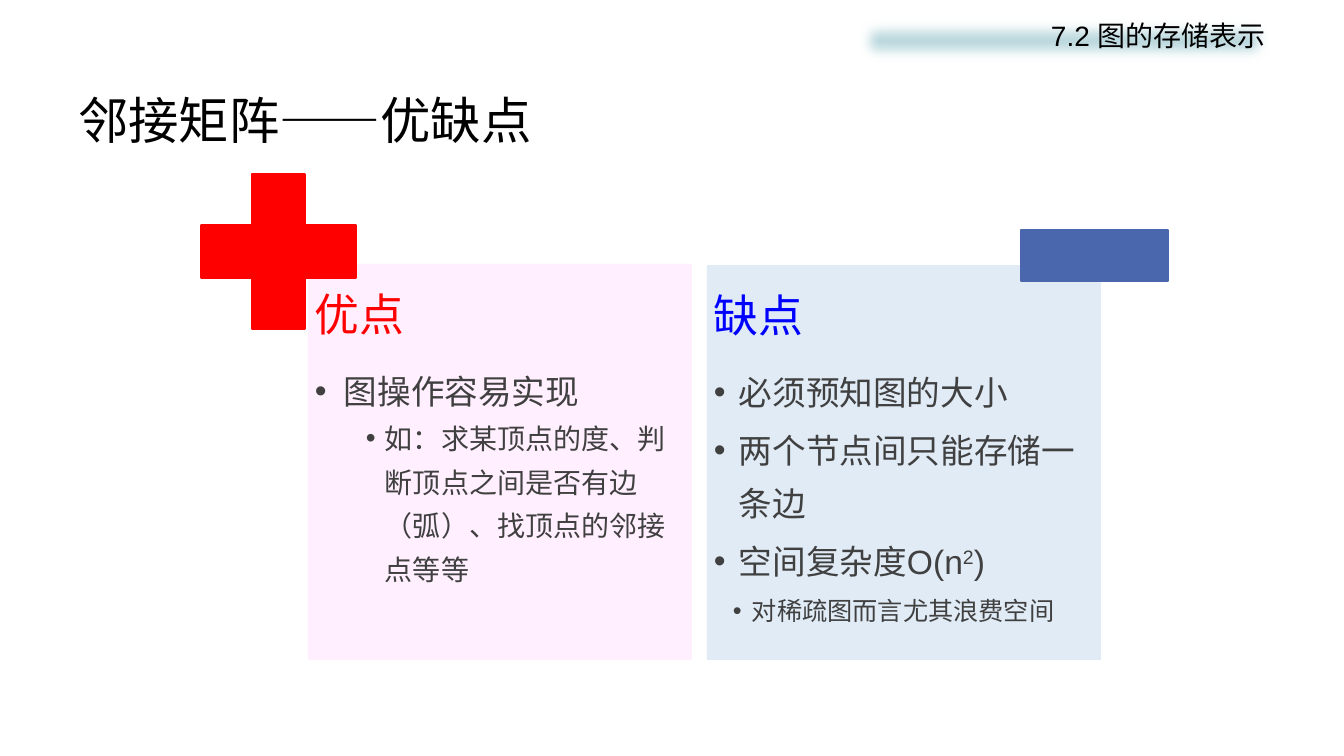
from pptx import Presentation
from pptx.dml.color import RGBColor
from pptx.enum.shapes import MSO_SHAPE as Shape
from pptx.enum.text import MSO_ANCHOR as Anchor, MSO_AUTO_SIZE as AutoSize, PP_ALIGN as Align
from pptx.oxml.ns import qn
from pptx.util import Pt
from lxml.etree import SubElement

PX = 914400 / 100.8  # EMU in one px

BLACK = RGBColor(0x00, 0x00, 0x00)
GRAY = RGBColor(0x40, 0x40, 0x40)
RED = RGBColor(0xFF, 0x00, 0x00)
BLUE = RGBColor(0x00, 0x00, 0xFF)
STEEL = RGBColor(0x4A, 0x66, 0xAC)
PINK = RGBColor(0xFF, 0xEF, 0xFF)
PALE_BLUE = RGBColor(0xE0, 0xEB, 0xF6)
TEAL = RGBColor(0xBD, 0xDA, 0xDF)

BODY_FONT = "Arial"
TITLE_FONT = "Noto Sans CJK SC"


def px(length):
    return round(length * PX)


def place(shape, left, top, width, height):
    shape.left, shape.top = px(left), px(top)
    shape.width, shape.height = px(width), px(height)


def set_font(font, size, color, name=BODY_FONT):
    font.name, font.size, font.color.rgb = name, Pt(size), color
    font.bold = False


def set_bullet(paragraph, margin, hanging):
    """Bullet when hanging is above zero, plain text otherwise."""
    props = paragraph._p.get_or_add_pPr()
    props.set("marL", str(px(margin)))
    props.set("indent", str(-px(hanging)))
    if hanging:
        SubElement(props, qn("a:buFont"), typeface=BODY_FONT)
        SubElement(props, qn("a:buChar"), char="•")
    else:
        SubElement(props, qn("a:buNone"))


def add_line(frame, text, size, color, level=0, margin=0, hanging=0, after=4):
    """Append one line of a panel; text after ^ is one raised character."""
    first = not frame.text
    paragraph = frame.paragraphs[0] if first else frame.add_paragraph()
    paragraph.level = level
    paragraph.alignment = Align.LEFT
    paragraph.line_spacing = 1.3
    paragraph.space_before, paragraph.space_after = Pt(0), Pt(after)
    set_bullet(paragraph, margin, hanging)
    base, _, raised = text.partition("^")
    for part in filter(None, (base, raised[:1], raised[1:])):
        run = paragraph.add_run()
        run.text = part
        set_font(run.font, size, color)
        if part == raised[:1]:
            run.font._rPr.set("baseline", "30000")


def fill_panel(panel, box, fill, heading, heading_color, lines):
    place(panel, *box)
    panel.fill.solid()
    panel.fill.fore_color.rgb = fill
    frame = panel.text_frame
    frame.auto_size, frame.word_wrap = AutoSize.NONE, True
    frame.vertical_anchor = Anchor.TOP
    frame.margin_left = frame.margin_right = px(7)
    frame.margin_top = frame.margin_bottom = px(7)
    add_line(frame, heading, 32, heading_color, after=13)
    for line in lines:
        add_line(frame, color=GRAY, **line)


def add_block(slide, kind, box, color, outlined=True):
    block = slide.shapes.add_shape(kind, *map(px, box))
    block.shadow.inherit = False
    block.fill.solid()
    block.fill.fore_color.rgb = color
    if outlined:
        block.line.color.rgb = color
        block.line.width = Pt(2)
    else:
        block.line.fill.background()
    return block


def add_section_label(slide, text):
    label = add_block(slide, Shape.RECTANGLE, (853, 14, 423, 54), TEAL, outlined=False)
    effects = label._element.spPr.find(qn("a:effectLst"))
    SubElement(effects, qn("a:softEdge"), rad="127000")
    frame = label.text_frame
    frame.word_wrap = True
    frame.vertical_anchor = Anchor.TOP
    frame.text = text
    paragraph = frame.paragraphs[0]
    paragraph.alignment = Align.RIGHT
    set_font(paragraph.runs[0].font, 20, BLACK)


def set_title(title, text):
    place(title, 68, 81, 1210, 76)
    frame = title.text_frame
    frame.auto_size = AutoSize.NONE
    frame.vertical_anchor = Anchor.MIDDLE
    frame.text = text
    frame.paragraphs[0].alignment = Align.LEFT
    set_font(frame.paragraphs[0].runs[0].font, 36, BLACK, TITLE_FONT)


def main():
    deck = Presentation()
    deck.slide_width, deck.slide_height = px(1344), px(756)
    slide = deck.slides.add_slide(deck.slide_layouts[3])
    title, pros, cons = list(slide.placeholders)[:3]

    set_title(title, "邻接矩阵——优缺点")

    # Advantages and drawbacks
    fill_panel(pros, (308, 264, 384, 396), PINK, "优点", RED, [
        dict(text="图操作容易实现", size=24, level=1, margin=29, hanging=29, after=0),
        dict(text="如：求某顶点的度、判断顶点之间是否有边（弧）、找顶点的邻接点等等",
             size=20, level=2, margin=70, hanging=19),
    ])
    point = dict(size=24, level=1, margin=25, hanging=25)
    fill_panel(cons, (707, 265, 394, 395), PALE_BLUE, "缺点", BLUE, [
        dict(text="必须预知图的大小", **point),
        dict(text="两个节点间只能存储一条边", **point),
        dict(text="空间复杂度O(n^2)", **point),
        dict(text="对稀疏图而言尤其浪费空间", size=18, level=2, margin=38, hanging=19),
    ])

    # Plus and minus signs
    plus = add_block(slide, Shape.CROSS, (201, 174, 155, 155), RED)
    plus.adjustments[0] = 0.33
    add_block(slide, Shape.RECTANGLE, (1021, 230, 147, 51), STEEL)

    add_section_label(slide, "7.2 图的存储表示")
    deck.save("out.pptx")


if __name__ == "__main__":
    main()
